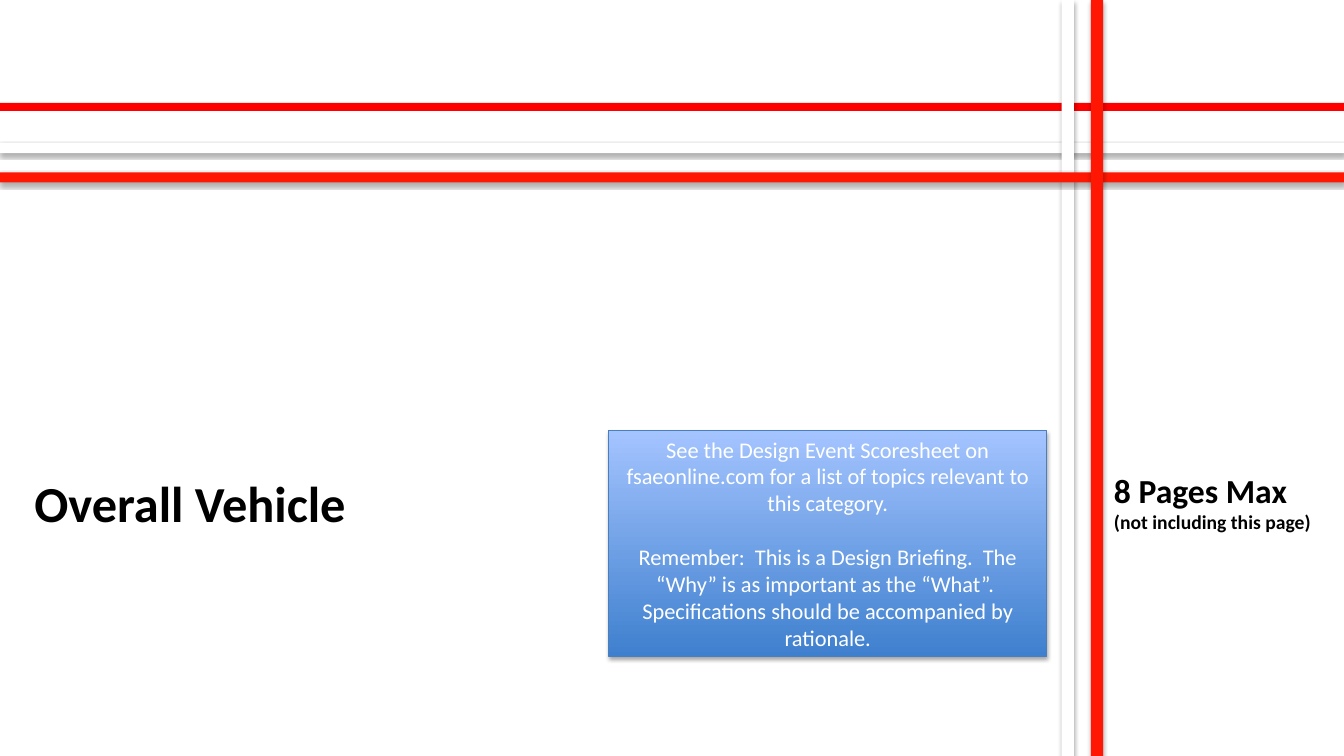
from lxml import etree
from pptx import Presentation, util as u
from pptx.dml.color import RGBColor
from pptx.enum import shapes, text
from pptx.oxml import ns

PX = 9144  # 100 px to the inch
SLIDE_WIDTH, SLIDE_HEIGHT = 1333, 750

WHITE = RGBColor(0xFF, 0xFF, 0xFF)
BLACK = RGBColor(0x00, 0x00, 0x00)
RULE_RED = RGBColor(0xFF, 0x00, 0x00)
BAR_RED = RGBColor(0xFF, 0x17, 0x04)
NOTE_TOP = RGBColor(0xA4, 0xC4, 0xFF)
NOTE_BOTTOM = RGBColor(0x3F, 0x80, 0xCE)
NOTE_LINE = RGBColor(0x4B, 0x7E, 0xBC)


def scaled(box):
    return [length * PX for length in box]


def add_rectangle(slide, box):
    shape = slide.shapes.add_shape(shapes.MSO_SHAPE.RECTANGLE, *scaled(box))
    shape.shadow.inherit = False
    return shape


def add_soft_shadow(shape):
    """Drop a black 35% shadow straight down."""
    effects = shape._element.spPr.find(ns.qn("a:effectLst"))
    shadow = etree.SubElement(
        effects, ns.qn("a:outerShdw"), blurRad=str(u.Pt(3.1)),
        dist=str(u.Pt(1.8)), dir="5400000", rotWithShape="0")
    color = etree.SubElement(shadow, ns.qn("a:srgbClr"), val="000000")
    etree.SubElement(color, ns.qn("a:alpha"), val="35000")


def style(paragraph, size, color, bold=False):
    font = paragraph.font
    font.name, font.size, font.bold = "Calibri", u.Pt(size), bold
    font.color.rgb = color


def add_bar(slide, box, color, shadow=True):
    bar = add_rectangle(slide, box)
    bar.fill.solid()
    bar.fill.fore_color.rgb = color
    bar.line.fill.background()
    if shadow:
        add_soft_shadow(bar)


def add_crossing_bars(slide, width, height):
    add_bar(slide, (0, 102, width, 8), RULE_RED, shadow=False)
    for color, top, left in ((WHITE, 142, 1053), (BAR_RED, 171, 1082)):
        add_bar(slide, (0, top, width, 10), color)
        add_bar(slide, (left, 0, 12, height), color)


def place_title(slide, box, wording):
    title = slide.shapes.title
    title.left, title.top, title.width, title.height = scaled(box)
    frame = title.text_frame
    frame.text = wording
    frame.vertical_anchor = text.MSO_ANCHOR.MIDDLE
    paragraph = frame.paragraphs[0]
    paragraph.alignment = text.PP_ALIGN.LEFT
    style(paragraph, 36, BLACK, bold=True)


def add_page_limit(slide, box):
    frame = slide.shapes.add_textbox(*scaled(box)).text_frame
    frame.word_wrap = True
    frame.vertical_anchor = text.MSO_ANCHOR.MIDDLE
    frame.margin_right = 8 * PX
    frame.text = "8 Pages Max\n(not including this page)"
    for paragraph, size in zip(frame.paragraphs, (24, 14)):
        style(paragraph, size, BLACK, bold=True)


def add_note(slide, box):
    note = add_rectangle(slide, box)
    add_soft_shadow(note)
    note.fill.gradient()
    note.fill.gradient_angle = 90
    for stop, color in zip(note.fill.gradient_stops, (NOTE_BOTTOM, NOTE_TOP)):
        stop.color.rgb = color
    note.line.color.rgb = NOTE_LINE
    note.line.width = u.Pt(0.75)
    frame = note.text_frame
    frame.word_wrap = True
    frame.vertical_anchor = text.MSO_ANCHOR.MIDDLE
    frame.text = (
        "See the Design Event Scoresheet on fsaeonline.com for a list of "
        "topics relevant to this category.\n"
        "Remember:  This is a Design Briefing.  The “Why” is as important as "
        "the “What”.  Specifications should be accompanied by rationale.")
    for paragraph in frame.paragraphs:
        paragraph.alignment = text.PP_ALIGN.CENTER
        style(paragraph, 16, WHITE)
    frame.paragraphs[1].space_before = u.Pt(19.5)


def main():
    presentation = Presentation()
    presentation.slide_width = SLIDE_WIDTH * PX
    presentation.slide_height = SLIDE_HEIGHT * PX
    slide = presentation.slides.add_slide(presentation.slide_layouts[5])
    add_crossing_bars(slide, SLIDE_WIDTH, SLIDE_HEIGHT)
    add_page_limit(slide, (1095, 418, 238, 159))
    place_title(slide, (24, 436, 418, 125), "Overall Vehicle")
    add_note(slide, (604, 427, 434, 224))
    presentation.save("out.pptx")


if __name__ == "__main__":
    main()
